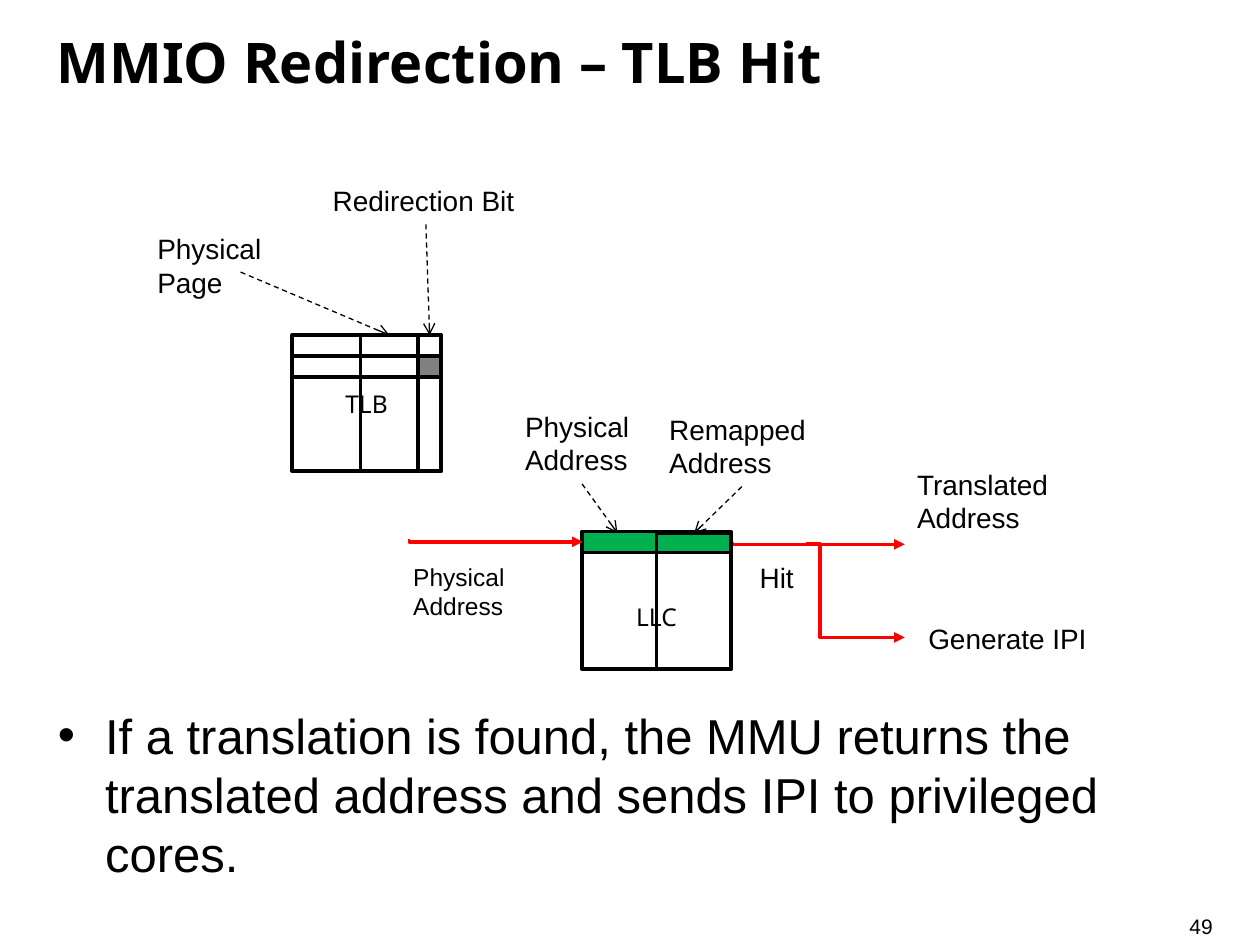
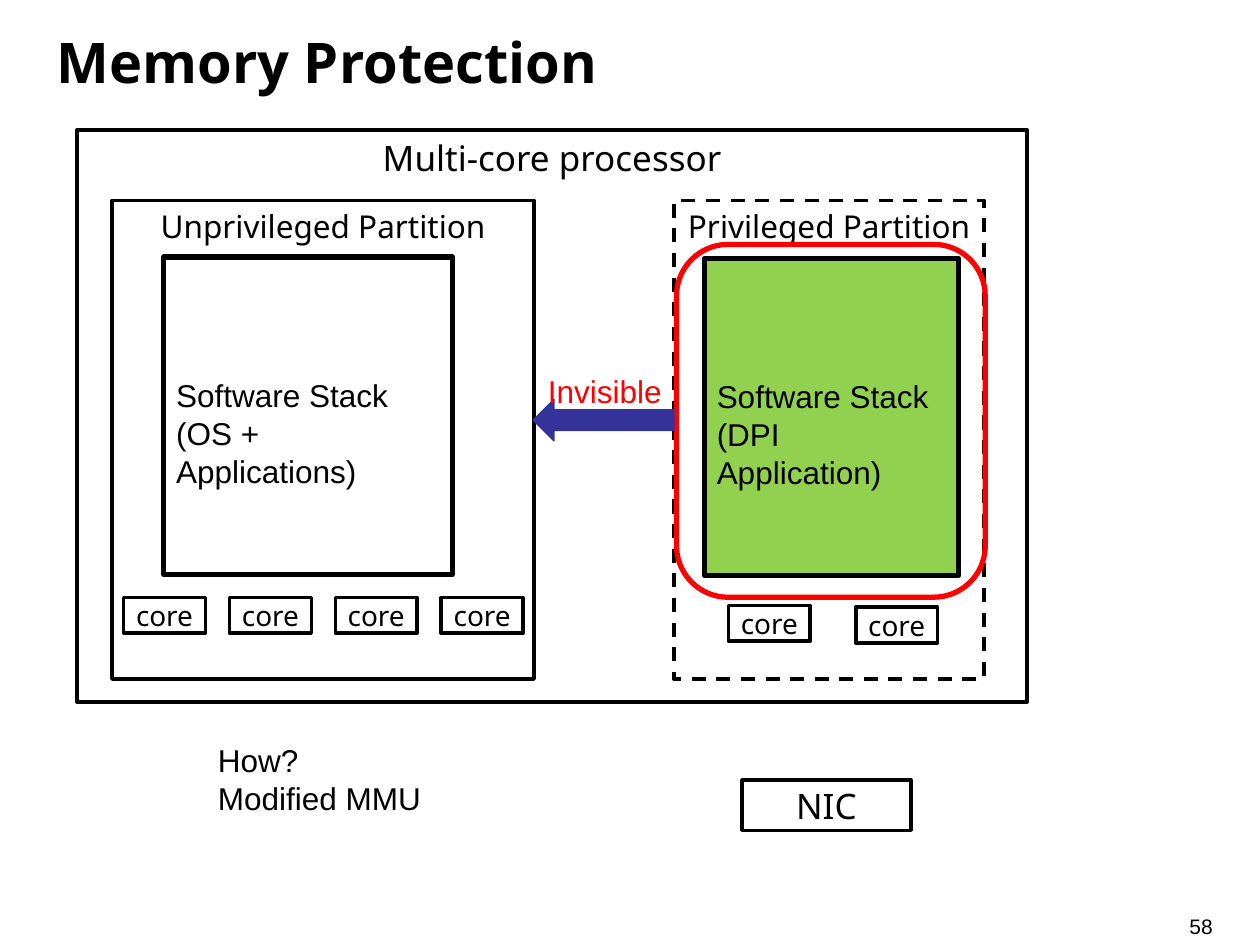
"""Builds two slides on MMIO redirection and memory protection."""
import dataclasses

import lxml.etree
import pptx
import pptx.dml.color
import pptx.enum.dml
import pptx.enum.shapes
import pptx.enum.text
import pptx.oxml.ns
import pptx.util

Pt = pptx.util.Pt
Kind = pptx.enum.shapes.MSO_SHAPE
Link = pptx.enum.shapes.MSO_CONNECTOR
Align = pptx.enum.text.PP_ALIGN
Anchor = pptx.enum.text.MSO_ANCHOR


@dataclasses.dataclass(frozen=True)
class Theme:
    ink: str = "000000"
    red: str = "FF0000"
    green: str = "00B050"
    lime: str = "92D050"
    gray: str = "808080"
    blue: str = "333399"
    sans: str = "Noto Sans"
    plain: str = "Arial"
    title: int = 32
    body: int = 28
    head: int = 20
    large: int = 18
    label: int = 16
    small: int = 14
    foot: int = 12


THEME = Theme()


def tint(code):
    return pptx.dml.color.RGBColor.from_string(code)


def add(parent, tag, **attrs):
    node = lxml.etree.SubElement(parent, pptx.oxml.ns.qn(tag))
    for key, value in attrs.items():
        node.set(key, str(value))
    return node


def write(frame, text, size=THEME.label, font=THEME.plain, color=THEME.ink, bold=False,
          align=Align.LEFT, anchor=Anchor.TOP, inset=(7.2, 3.6, 7.2, 3.6), wrap=True):
    frame.word_wrap = wrap
    frame.vertical_anchor = anchor
    (frame.margin_left, frame.margin_top,
     frame.margin_right, frame.margin_bottom) = map(Pt, inset)
    for i, line in enumerate(text.split("\n")):
        para = frame.paragraphs[0] if i == 0 else frame.add_paragraph()
        para.alignment = align
        run = para.add_run()
        run.text = line
        run.font.size = Pt(size)
        run.font.name = font
        run.font.bold = bold
        run.font.color.rgb = tint(color)


class Deck:
    def __init__(self, theme):
        self.theme = theme
        self.show = pptx.Presentation()
        self.show.slide_width, self.show.slide_height = Pt(720), Pt(540)
        self.slide = None

    def page(self, title, number):
        self.slide = self.show.slides.add_slide(self.show.slide_layouts[6])
        self.text((679.7, 522, 36.7, 14.4), number, size=self.theme.foot, inset=(0,) * 4)
        self.text((25.2, 5, 670, 60), title, size=self.theme.title, font=self.theme.sans,
                  bold=True, anchor=Anchor.MIDDLE)

    def text(self, area, words, **fmt):
        box = self.slide.shapes.add_textbox(*map(Pt, area))
        write(box.text_frame, words, **fmt)
        return box

    def label(self, area, words, **fmt):
        return self.text(area, words, **{"wrap": False, **fmt})

    def bullet(self, area, words):
        box = self.text(area, words, size=self.theme.body)
        props = box.text_frame.paragraphs[0]._p.get_or_add_pPr()
        props.set("marL", str(Pt(27)))
        props.set("indent", str(-Pt(27)))
        add(props, "a:buFont", typeface=self.theme.plain)
        add(props, "a:buChar", char="•")

    def shape(self, area, words="", kind=Kind.RECTANGLE, fill=None, line=None,
              width=2, dash=False, **fmt):
        shape = self.slide.shapes.add_shape(kind, *map(Pt, area))
        shape.shadow.inherit = False
        if fill:
            shape.fill.solid()
            shape.fill.fore_color.rgb = tint(fill)
        else:
            shape.fill.background()
        self.stroke(shape.line, line or self.theme.ink, width, dash)
        if words:
            write(shape.text_frame, words, **fmt)

    def panel(self, area, words, dash=False, **fmt):
        base = dict(font=self.theme.sans, align=Align.CENTER, inset=(3.6,) * 4)
        self.shape(area, words, dash=dash, **{**base, **fmt})

    def stroke(self, line, color, width, dash):
        line.color.rgb = tint(color)
        line.width = Pt(width)
        if dash:
            line.dash_style = pptx.enum.dml.MSO_LINE.DASH

    def link(self, ends, color, width, head, dash=False, bend=None):
        kind = Link.STRAIGHT if bend is None else Link.ELBOW
        wire = self.slide.shapes.add_connector(kind, *map(Pt, ends))
        self.stroke(wire.line, color, width, dash)
        props = wire._element.spPr
        add(wire.line._get_or_add_ln(), "a:tailEnd", type=head)
        add(props, "a:effectLst")
        if bend is not None:
            guides = props.prstGeom.get_or_add_avLst()
            add(guides, "a:gd", name="adj1", fmla=f"val {bend}")

    def pointer(self, *ends):
        self.link(ends, self.theme.ink, 0.75, "arrow", dash=True)

    def flow(self, *ends, bend=600):
        self.link(ends, self.theme.red, 2, "triangle", bend=bend)


def draw_hit(deck):
    look = deck.theme
    deck.page("MMIO Redirection – TLB Hit", "49")
    deck.bullet((26, 399.6, 670, 112), "If a translation is found, the MMU returns the "
                "translated address and sends IPI to privileged cores.")

    left, top, wide, high, row = 167, 191.5, 85, 77.8, 12
    deck.panel((left, top, wide, high), "TLB", size=look.small, anchor=Anchor.MIDDLE)
    deck.shape((left + 72, top, 13, high))
    deck.shape((left, top + row, wide, row))
    deck.shape((left + 72, top + row, 13, row), fill=look.gray)
    deck.shape((left + 39, top, 33, high))
    deck.pointer(243.4, 128.2, 245.5, top)
    deck.label((183, 101.5, 121, 26.6), "Redirection Bit")
    deck.text((82.8, 128.9, 90, 45), "Physical Page")
    deck.pointer(137.5, 155.5, 222.5, top)

    left, top = 332.6, 304.6
    deck.flow(417.6, 310.3, 517, 311)
    deck.panel((left, top, wide, high), "LLC", size=look.small, anchor=Anchor.MIDDLE,
               inset=(7.2, 21, 7.2, 3.6))
    deck.shape((left, top - 0.8, wide, row), fill=look.green)
    deck.label((293, 230.4, 79, 46), "Physical\nAddress")
    deck.label((375.3, 232, 98, 46), "Remapped\nAddress")
    deck.pointer(left, 276.5, 352.8, top)
    deck.pointer(424, 278, 396.7, top)
    deck.shape((left + wide / 2, top, wide / 2, high))
    deck.flow(233.3, 308.9, 333, 309.6)
    deck.label((517, 263.5, 95, 46), "Translated\nAddress")
    deck.flow(460.8, 311, 517, 364.3, bend=13900)
    deck.label((523.4, 351.4, 106.6, 26.6), "Generate IPI")
    deck.text((229, 317.5, 79, 41), "Physical\nAddress", size=look.small)
    deck.label((427, 316.8, 34.6, 26.6), "Hit")


def draw_guard(deck):
    look = deck.theme
    deck.page("Memory Protection", "58")
    deck.panel((424, 445.7, 96.5, 28.8), "NIC", size=look.head, anchor=Anchor.MIDDLE)
    deck.panel((64, 114.5, 241.2, 273.6), "Unprivileged Partition", size=look.large)
    deck.panel((44, 74.2, 543, 326.9), "Multi-core processor", size=look.head)
    deck.panel((385.2, 114.5, 177.1, 273.6), "Privileged Partition", dash=True,
               size=look.large)

    stacks = [(93.6, 146.9, 165, "(OS + Applications)", None),
              (402.5, 147.6, 145.4, "(DPI Application)", look.lime)]
    for left, top, wide, note, fill in stacks:
        deck.shape((left, top, wide, 181.4), "Software Stack\n" + note, fill=fill,
                   width=3, size=look.large, inset=(7.2, 68, 7.2, 3.6))

    cores = [(70.6 + 60.5 * i, 341.5) for i in range(4)] + [(416.2, 346), (489, 347)]
    for left, top in cores:
        deck.panel((left, top, 46.8, 20.4), "core", size=look.label, anchor=Anchor.MIDDLE)

    deck.shape((386.6, 139.7, 176.4, 201.6), kind=Kind.ROUNDED_RECTANGLE,
               line=look.red, width=3)
    deck.shape((304.6, 228.2, 80.6, 23.8), kind=Kind.LEFT_ARROW, fill=look.blue,
               line=look.blue, width=0.75)
    deck.label((306, 208.8, 80, 28.8), "Invisible", size=look.large, color=look.red)
    deck.text((117.4, 419.8, 165, 51), "How?\nModified MMU", size=look.large)


deck = Deck(THEME)
draw_hit(deck)
draw_guard(deck)
deck.show.save("out.pptx")
